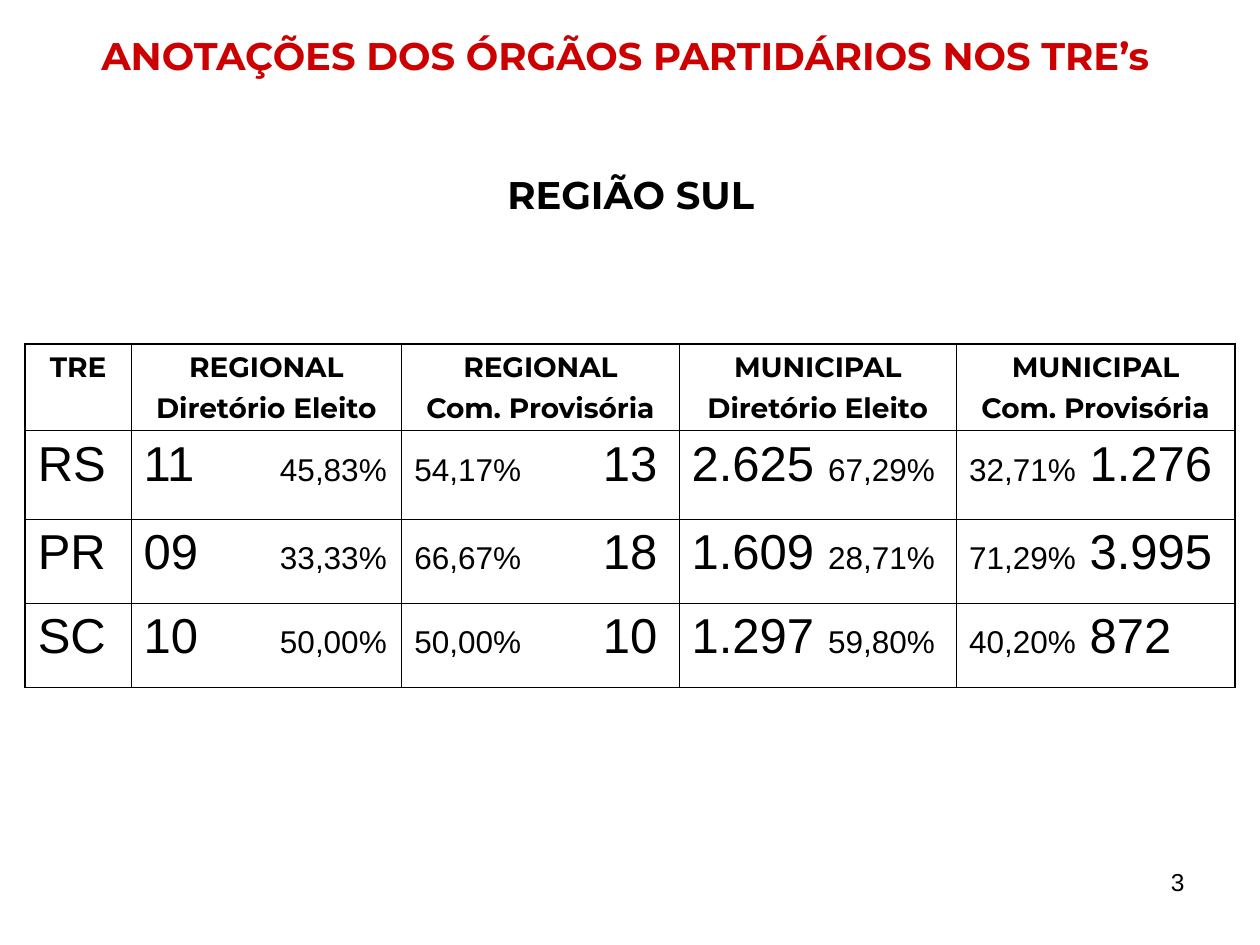
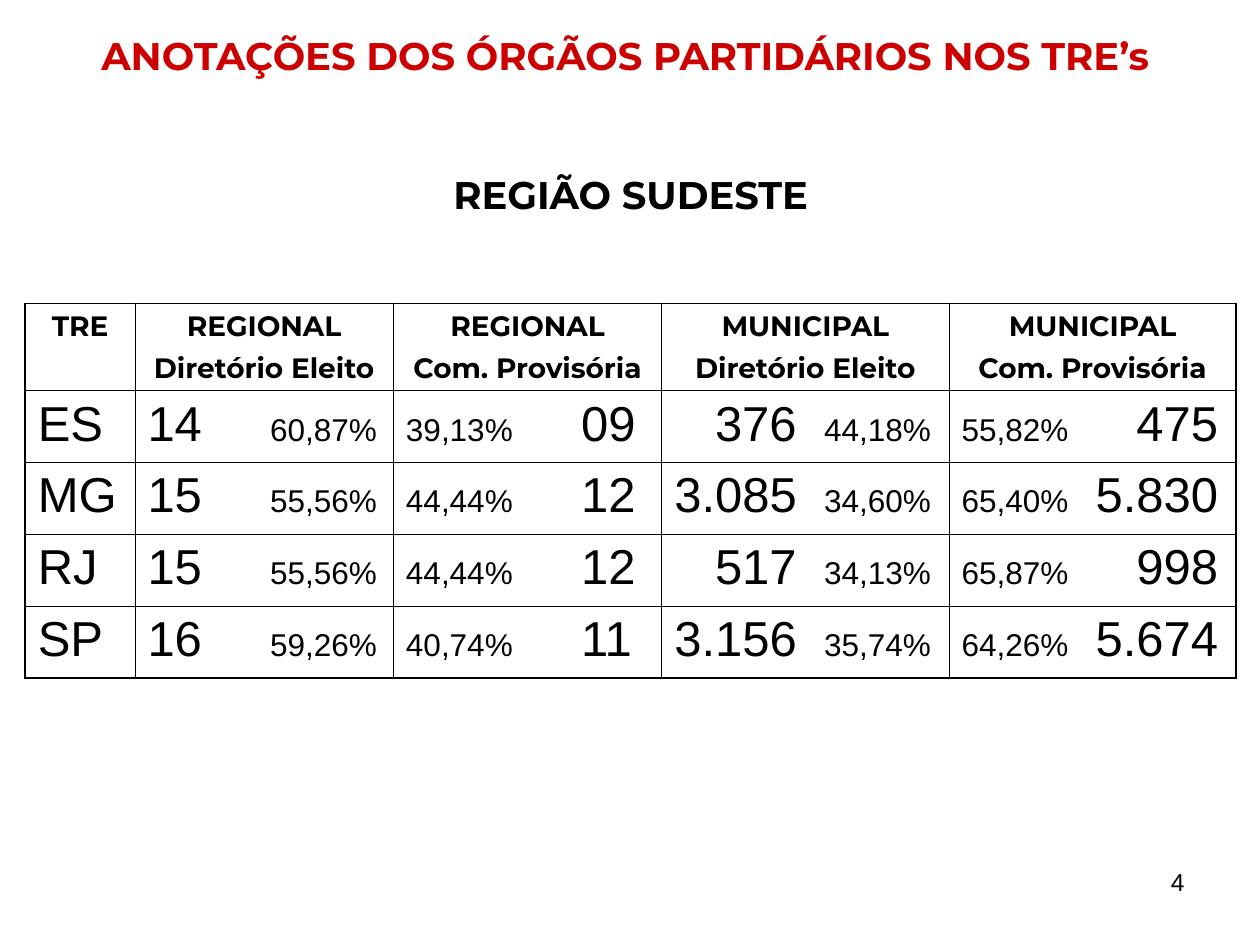
from lxml.etree import SubElement
from pptx import Presentation
from pptx.dml.color import RGBColor
from pptx.enum.text import PP_ALIGN as Align
from pptx.oxml.ns import qn
from pptx.util import Cm, Pt

COLORS = {"title": "CC0000", "ink": "000000"}
HEADING_FONT, BODY_FONT = "Montserrat", "Arial"
TITLE = "ANOTAÇÕES DOS ÓRGÃOS PARTIDÁRIOS NOS TRE’s "
HEADERS = [
    ["TRE"],
    ["REGIONAL", "Diretório Eleito"],
    ["REGIONAL", "Com. Provisória"],
    ["MUNICIPAL", "Diretório Eleito"],
    ["MUNICIPAL", "Com. Provisória"],
]
MARGIN, TABLE_WIDTH = 0.51, 24.41
HEADER_HEIGHT = 1.75
OUTER_LINE, INNER_LINE = 1.08, 0.45
COUNT_SIZE, PERCENT_SIZE = 28, 18

# Tab stops (cm, alignment) are listed per column; lengths are in cm.
REGIONS = [
    {
        "name": "REGIÃO SUL", "page": 3, "heading_height": 17.02, "table_top": 6.93,
        "columns": [2.13, 5.46, 5.59, 5.59, 5.61],
        "row_heights": [1.78, 1.7, 1.7],
        "tabs": [[], [(2.75, "l")], [(3.8, "l")], [(2.75, "l")], [(2.43, "l")]],
        "rows": [
            ["RS", "11\t45,83%", "54,17%\t13", "2.625\t67,29%", "32,71%\t1.276"],
            ["PR", "09\t33,33%", "66,67%\t18", "1.609\t28,71%", "71,29%\t3.995"],
            ["SC", "10\t50,00%", "50,00%\t10", "1.297\t59,80%", "40,20%\t872"],
        ],
    },
    {
        "name": "REGIÃO SUDESTE", "page": 4, "heading_height": 13.28, "table_top": 6.12,
        "columns": [2.21, 5.21, 5.41, 5.79, 5.79],
        "row_heights": [1.45] * 4,
        "tabs": [[], [(2.47, "l")], [(3.53, "l")],
                 [(0.82, "l"), (3.02, "l")], [(5.17, "r")]],
        "rows": [
            ["ES", "14\t60,87%", "39,13%\t09", "\t376\t44,18%", "55,82%\t475"],
            ["MG", "15\t55,56%", "44,44%\t12", "3.085\t34,60%", "65,40%\t5.830"],
            ["RJ", "15\t55,56%", "44,44%\t12", "\t517\t34,13%", "65,87%\t998"],
            ["SP", "16\t59,26%", "40,74%\t11", "3.156\t35,74%", "64,26%\t5.674"],
        ],
    },
]


def write(paragraph, text, size, font=BODY_FONT, color="ink", bold=False,
          align=Align.LEFT, before=0):
    """Append one formatted run to the paragraph."""
    paragraph.alignment = align
    paragraph.space_before = Pt(before)
    run = paragraph.add_run()
    run.text = text
    run.font.size = Pt(size)
    run.font.name = font
    run.font.bold = bold
    run.font.color.rgb = RGBColor.from_string(COLORS[color])


def add_text_frame(slide, left, top, width, height):
    box = slide.shapes.add_textbox(Cm(left), Cm(top), Cm(width), Cm(height))
    box.text_frame.word_wrap = True
    return box.text_frame


def add_heading(slide, region_name, height):
    frame = add_text_frame(slide, MARGIN, 0.53, TABLE_WIDTH, height)
    style = {"size": 22, "font": HEADING_FONT, "bold": True, "align": Align.CENTER}
    write(frame.paragraphs[0], TITLE, color="title", **style)
    write(frame.add_paragraph(), region_name, before=53, **style)


def add_page_number(slide, number):
    frame = add_text_frame(slide, 18.21, 17.35, 5.92, 1.32)
    write(frame.paragraphs[0], str(number), 14, align=Align.RIGHT)


def set_tab_stops(paragraph, stops):
    if not stops:
        return
    tab_list = SubElement(paragraph._p.get_or_add_pPr(), qn("a:tabLst"))
    for position, side in stops:
        SubElement(tab_list, qn("a:tab"), pos=str(Cm(position)), algn=side)


def set_borders(cell, outer_sides):
    """Draw all four borders, with the heavier line on the outer sides."""
    properties = cell._tc.get_or_add_tcPr()
    for side in "LRTB":
        weight = OUTER_LINE if side in outer_sides else INNER_LINE
        line = SubElement(properties, qn(f"a:ln{side}"), w=str(Pt(weight)))
        fill = SubElement(line, qn("a:solidFill"))
        SubElement(fill, qn("a:srgbClr"), val=COLORS["ink"])
    cell.fill.background()


def fill_header(cell, lines):
    frame = cell.text_frame
    for index, line in enumerate(lines):
        paragraph = frame.add_paragraph() if index else frame.paragraphs[0]
        write(paragraph, line, 16, font=HEADING_FONT, bold=True,
              align=Align.CENTER, before=4 if index else 0)


def fill_figures(cell, text, stops):
    """Write counts large and percentages small, parted by tab stops."""
    paragraph = cell.text_frame.paragraphs[0]
    for index, part in enumerate(text.split("\t")):
        size = PERCENT_SIZE if part.endswith("%") else COUNT_SIZE
        write(paragraph, "\t" + part if index else part, size)
    set_tab_stops(paragraph, stops)


def add_region_table(slide, region):
    heights = [HEADER_HEIGHT] + region["row_heights"]
    widths = region["columns"]
    table = slide.shapes.add_table(
        len(heights), len(widths), Cm(MARGIN), Cm(region["table_top"]),
        Cm(sum(widths)), Cm(sum(heights))).table
    table.first_row = table.horz_banding = False
    for column, width in zip(table.columns, widths):
        column.width = Cm(width)
    for row, height in zip(table.rows, heights):
        row.height = Cm(height)

    last_row, last_column = len(heights) - 1, len(widths) - 1
    for r in range(len(heights)):
        for c in range(len(widths)):
            cell = table.cell(r, c)
            if r == 0:
                fill_header(cell, HEADERS[c])
            else:
                fill_figures(cell, region["rows"][r - 1][c], region["tabs"][c])
            edges = {"L": c == 0, "R": c == last_column,
                     "T": r == 0, "B": r == last_row}
            set_borders(cell, [side for side, outer in edges.items() if outer])


def main():
    deck = Presentation()
    deck.slide_width, deck.slide_height = Cm(25.4), Cm(19.05)
    for region in REGIONS:
        slide = deck.slides.add_slide(deck.slide_layouts[6])
        add_heading(slide, region["name"], region["heading_height"])
        add_region_table(slide, region)
        add_page_number(slide, region["page"])
    deck.save("out.pptx")


if __name__ == "__main__":
    main()
